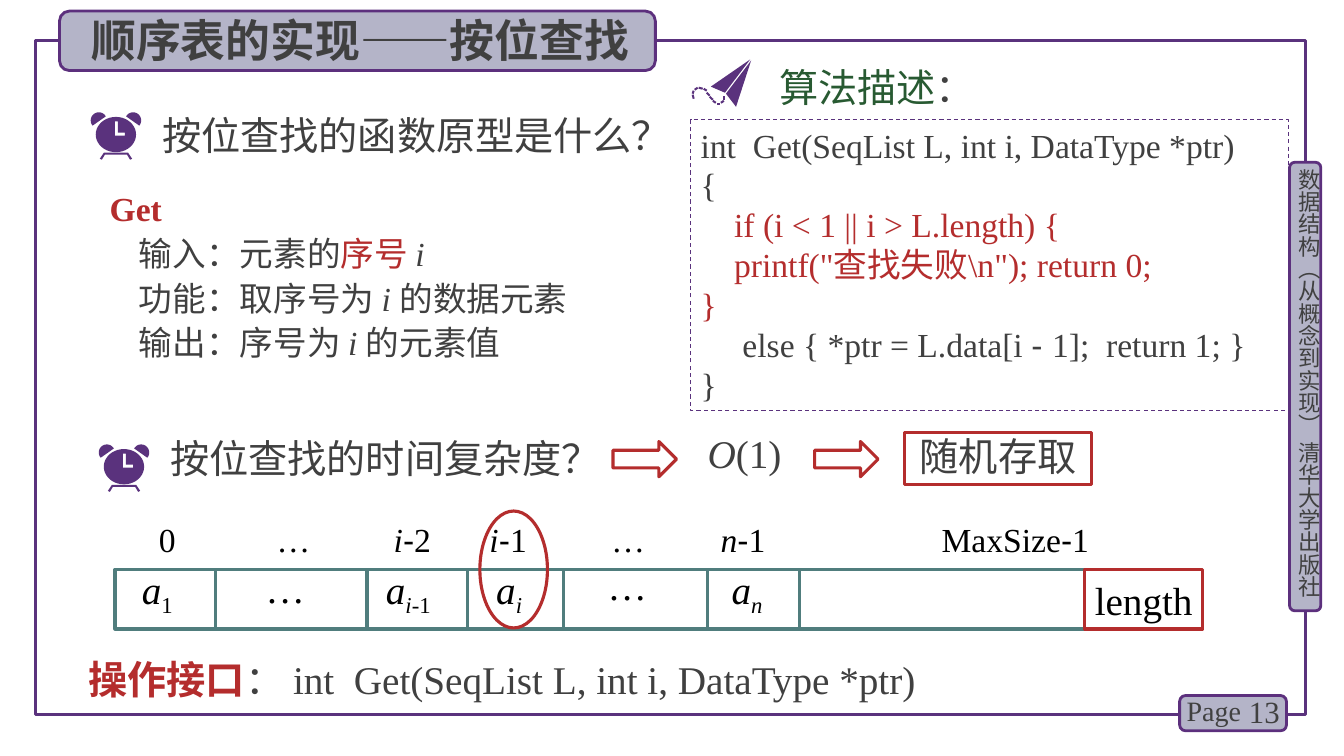
from math import cos, hypot, pi, sin

from lxml import etree
from pptx import Presentation
from pptx import util as u
from pptx.dml.color import RGBColor
from pptx.enum import dml, shapes, text
from pptx.oxml.ns import qn

# Content: a run is plain text or (text, overrides); a paragraph is a list of runs
PURPLE, EDGE, LILAC = "5A327D", "5C307D", "B4B4C8"
RED, TEAL, GREEN, GREY, BLACK = "B42D2D", "507D7D", "285A32", "404040", "000000"
LATIN, CJK = "Times New Roman", "Noto Sans CJK SC"
ITALIC, IN_RED, BOLD_RED = {"italic": True}, {"color": RED}, {"color": RED, "bold": True}
SUB, ITALIC_SUB = {"sub": True}, {"italic": True, "sub": True}
DASH = ("-", {"font": "Arial"})
I, A = ("i", ITALIC), ("a", ITALIC)

TITLE = "顺序表的实现——按位查找"
PROTOTYPE = "int  Get(SeqList L, int i, DataType *ptr)"
HEADINGS = [  # left, top, width, height, runs
    (1.51, 1.05, 5.2, 0.57, ["按位查找的函数原型是什么？"]),
    (7.63, 0.58, 2.88, 0.57, [("算法描述", {"color": GREEN}), "："]),
]
INTERFACE = [
    [("Get", BOLD_RED)],
    ["输入：元素的", ("序号 ", IN_RED), I],
    ["功能：取序号为 ", ("i ", ITALIC), "的数据元素"],
    ["输出：序号为 ", ("i ", ITALIC), "的元素值"],
]
CODE = [
    [PROTOTYPE],
    ["{"],
    ["    ", ("if (i < 1 || i > L.length) {", IN_RED)],
    [("    printf(\"查找失败\\n\"); return 0;", IN_RED)],
    [("}", IN_RED)],
    ["     else { *ptr = L.data[i ", ("- ", {"font": "Arial"}), "1];  return 1; }"],
    ["}"],
]
CELLS = [  # right edge, index centre, index runs, value centre, value top, value runs
    (2.14, 1.66, ["0"], 1.56, 5.67, [A, ("1", SUB)]),
    (3.64, 2.91, ["…"], 2.83, 5.6, ["…"]),
    (4.64, 4.09, [I, DASH, "2"], 4.05, 5.67, [A, ("i", ITALIC_SUB), ("-1", SUB)]),
    (5.59, 5.04, [I, DASH, "1"], 5.05, 5.67, [A, ("i", ITALIC_SUB)]),
    (7.02, 6.23, ["…"], 6.22, 5.57, ["…"]),
    (7.93, 7.37, [("n", ITALIC), DASH, "1"], 7.41, 5.67, [A, ("n", ITALIC_SUB)]),
    (10.76, 10.07, ["MaxSize", DASH, "1"], 9.35, 5.67, []),
]
ARRAY_LEFT, ARRAY_TOP, ARRAY_HEIGHT = 1.14, 5.65, 0.59

# Icon outlines: clock parts relative to the clock's centre, plane parts on the slide
CLOCK_CENTRES = [(1.15, 1.335), (1.23, 4.63)]
CLOCK_HANDS = [(-.01, -.13), (.02, -.13), (.02, -.02), (.09, -.02), (.09, .01), (-.01, .01)]
CLOCK_FEET = [(.16, .24), (.12, .18), (-.12, .18), (-.16, .24),
              (-.14, .25), (-.11, .2), (.11, .2), (.14, .25)]
PLANE_WINGS = [[(7.45, .6), (7.3, 1.06), (7.2, .93)], [(7.44, .59), (7.19, .92), (7.05, .86)]]
PLANE_TRAIL = [
    (7.18, .95, 7.18, .99), (7.18, 1.0, 7.15, 1.02), (7.14, 1.03, 7.11, 1.03),
    (7.1, 1.02, 7.07, 1.0), (7.07, .99, 7.04, .96), (7.04, .95, 7.01, .92),
    (7.01, .9, 6.98, .88), (6.97, .88, 6.93, .87), (6.92, .87, 6.89, .89),
    (6.88, .9, 6.87, .93), (6.88, .98, 6.87, .94),
]

deck = Presentation()
deck.slide_width, deck.slide_height = u.Inches(13.33), u.Inches(7.5)
slide = deck.slides.add_slide(deck.slide_layouts[5])
TOP, MIDDLE = text.MSO_ANCHOR.TOP, text.MSO_ANCHOR.MIDDLE
LEFT, CENTRE, RIGHT = text.PP_ALIGN.LEFT, text.PP_ALIGN.CENTER, text.PP_ALIGN.RIGHT
RECT, ROUND = shapes.MSO_SHAPE.RECTANGLE, shapes.MSO_SHAPE.ROUNDED_RECTANGLE


def rgb(value):
    return RGBColor.from_string(value)


def inches(*lengths):
    return [u.Inches(length) for length in lengths]


def write(shape, paragraphs, size, color=GREY, align=LEFT, anchor=TOP, leading=None,
          insets=(.1, .05, .1, .05), bold=False):
    frame = shape.text_frame
    frame.word_wrap, frame.vertical_anchor = True, anchor
    frame.margin_left, frame.margin_top, frame.margin_right, frame.margin_bottom = inches(*insets)
    for number, runs in enumerate(paragraphs):
        paragraph = frame.add_paragraph() if number else frame.paragraphs[0]
        paragraph.alignment = align
        if leading:
            paragraph.line_spacing = u.Pt(leading)
        for item in runs:
            words, style = (item, {}) if isinstance(item, str) else item
            run = paragraph.add_run()
            run.text = words
            font = run.font
            font.size, font.name = u.Pt(size), style.get("font", LATIN)
            font.bold, font.italic = style.get("bold", bold), style.get("italic", False)
            font.color.rgb = rgb(style.get("color", color))
            properties = run._r.get_or_add_rPr()
            if any(ord(letter) > 0x2FFF for letter in words):
                east_asian = etree.Element(qn("a:ea"), typeface=CJK)
                properties.find(qn("a:latin")).addnext(east_asian)
            if style.get("sub"):
                properties.set("baseline", "-25000")
    return shape


def label(x, y, w, h, paragraphs, size, **options):
    return write(slide.shapes.add_textbox(*inches(x, y, w, h)), paragraphs, size, **options)


def box(kind, x, y, w, h, line, width=2.25, fill=None):
    shape = slide.shapes.add_shape(kind, *inches(x, y, w, h))
    shape.shadow.inherit = False
    if fill:
        shape.fill.solid()
        shape.fill.fore_color.rgb = rgb(fill)
    else:
        shape.fill.background()
    shape.line.color.rgb, shape.line.width = rgb(line), u.Pt(width)
    return shape


def outline(*contours):
    scaled = [[inches(*point) for point in contour] for contour in contours]
    builder = slide.shapes.build_freeform(*scaled[0][0])
    builder.add_line_segments(scaled[0][1:])
    for contour in scaled[1:]:
        builder.move_to(*contour[0])
        builder.add_line_segments(contour[1:])
    shape = builder.convert_to_shape()
    shape.shadow.inherit = False
    shape.fill.solid()
    shape.fill.fore_color.rgb = rgb(PURPLE)
    shape.line.fill.background()


def arc(x, y, rx, ry, start, end):
    angles = [(start + (end - start) * step / 40) * pi / 180 for step in range(41)]
    return [(x + rx * cos(angle), y + ry * sin(angle)) for angle in angles]


def clock(x, y):
    def placed(points, flip=1):
        return [(x + flip * dx, y + dy) for dx, dy in points]
    outline(placed(CLOCK_FEET))
    for side in (1, -1):
        outline(placed(arc(-.17, -.14, .08, .08, 140, 330), side))
    outline(placed(arc(0, 0, .2, .175, 0, 360)), placed(CLOCK_HANDS))


def trail_dash(x1, y1, x2, y2, half=.01):
    length = hypot(x2 - x1, y2 - y1)
    nx, ny = half * (y1 - y2) / length, half * (x2 - x1) / length
    outline([(x1 + nx, y1 + ny), (x2 + nx, y2 + ny), (x2 - nx, y2 - ny), (x1 - nx, y1 - ny)])


# Frame, side tab and page badge
box(RECT, .35, .4, 12.6, 6.69, PURPLE)
box(ROUND, 12.79, 1.61, .31, 4.45, EDGE, 2, LILAC)
side_tab = label(12.85, 1.67, .27, 4.49, [["数据结构（从概念到实现） 清华大学出版社"]], 16,
                 insets=(0, 0, 0, 0))
side_tab.text_frame._txBody.bodyPr.set("vert", "eaVert")
box(ROUND, 11.7, 6.9, 1.06, .35, EDGE, 2, LILAC)
label(12.2, 6.86, .59, .4, [["13"]], 22, align=RIGHT, anchor=MIDDLE)
label(11.67, 6.83, .78, .44, [["Page"]], 20)

# Title on its plate
plate = box(ROUND, .59, .11, 5.91, .59, EDGE, 2, LILAC)
title = slide.shapes.title
title.left, title.top, title.width, title.height = inches(.73, .07, 5.69, .64)
write(title, [[TITLE]], 32, align=CENTRE, anchor=MIDDLE, bold=True)
plate.element.addnext(title.element)

# Headings, interface and code
for x, y, w, h, runs in HEADINGS:
    label(x, y, w, h, [runs], 28, anchor=MIDDLE)
interface = label(.99, 1.77, 5.37, 1.9, INTERFACE, 24, leading=32)
for paragraph in interface.text_frame.paragraphs[1:]:
    paragraph._p.get_or_add_pPr().set("marL", str(u.Inches(.29)))
listing = box(RECT, 6.85, 1.19, 5.93, 2.88, PURPLE, .75)
listing.line.dash_style = dml.MSO_LINE.DASH
write(listing, CODE, 24, leading=28.5)

# Time complexity
label(1.59, 4.34, 4.72, .49, [["按位查找的时间复杂度？"]], 28, leading=28)
for x in (6.08, 8.08):
    box(shapes.MSO_SHAPE.RIGHT_ARROW, x, 4.38, .63, .35, RED)
label(6.92, 4.29, .95, .49, [[("O", ITALIC), "(1)"]], 28, leading=28)
write(box(RECT, 8.97, 4.29, 1.86, .52, RED), [["随机存取"]], 28, align=CENTRE, leading=30)

# Array with indices, dividers and values
array_right = CELLS[-1][0]
box(RECT, ARRAY_LEFT, ARRAY_TOP, array_right - ARRAY_LEFT, ARRAY_HEIGHT, TEAL)
for right, index_x, index, value_x, value_top, value in CELLS:
    label(index_x - 1, 5.1, 2, .5, [index], 24, color=BLACK, align=CENTRE)
    if value:
        label(value_x - .45, value_top, .9, .46, [value], 28, color=BLACK, align=CENTRE,
              leading=30, insets=(0, .05, 0, .05))
    if right < array_right:
        divider = slide.shapes.add_connector(
            shapes.MSO_CONNECTOR.STRAIGHT,
            *inches(right, ARRAY_TOP, right, ARRAY_TOP + ARRAY_HEIGHT))
        divider.line.color.rgb, divider.line.width = rgb(TEAL), u.Pt(2.25)
        etree.SubElement(divider.element.spPr, qn("a:effectLst"))
write(box(RECT, array_right, ARRAY_TOP, 1.17, ARRAY_HEIGHT, RED), [["length"]], 28,
      color=BLACK, leading=30, insets=(.1, .12, 0, .05))
box(shapes.MSO_SHAPE.OVAL, 4.76, 5.07, .67, 1.16, RED)

# Operation interface
label(.78, 6.57, 8.97, .45, [[("操作接口", BOLD_RED), "： " + PROTOTYPE]], 28, leading=25)

# Icons
for centre in CLOCK_CENTRES:
    clock(*centre)
for wing in PLANE_WINGS:
    outline(wing)
for segment in PLANE_TRAIL:
    trail_dash(*segment)

deck.save("out.pptx")
